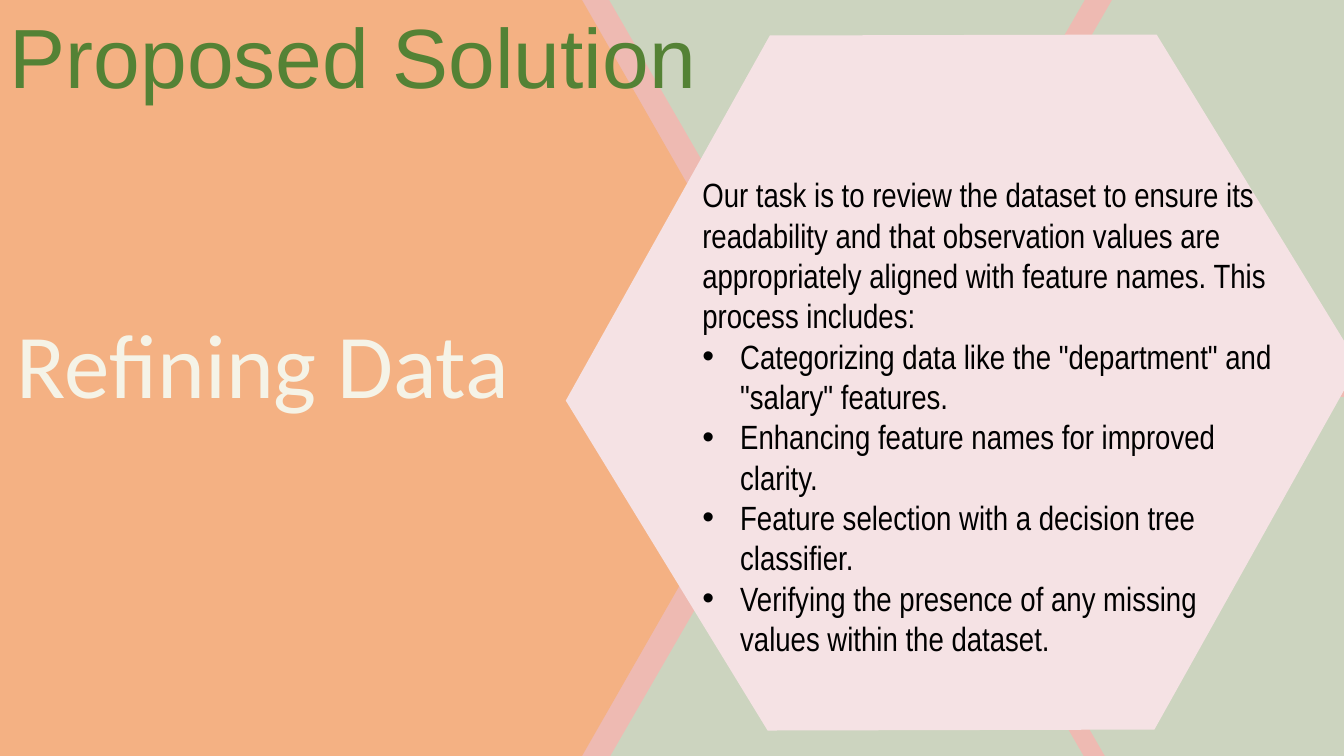
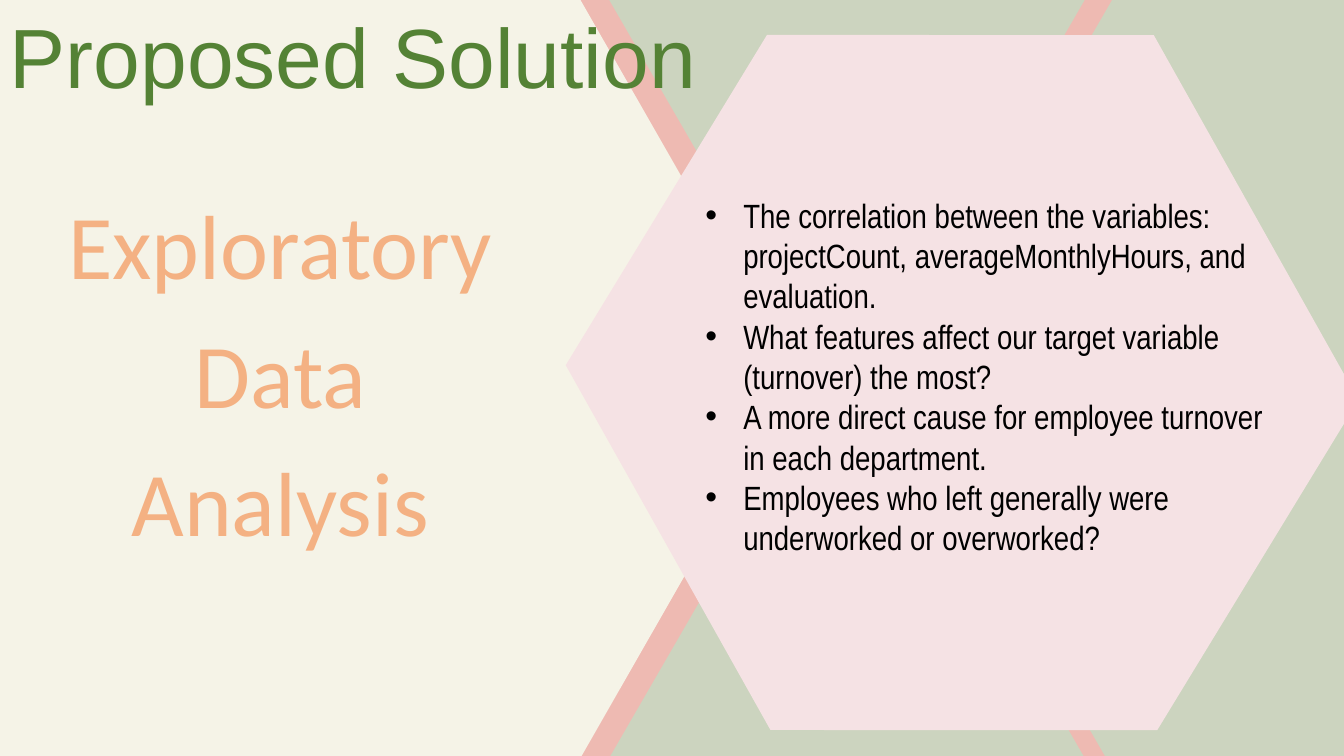
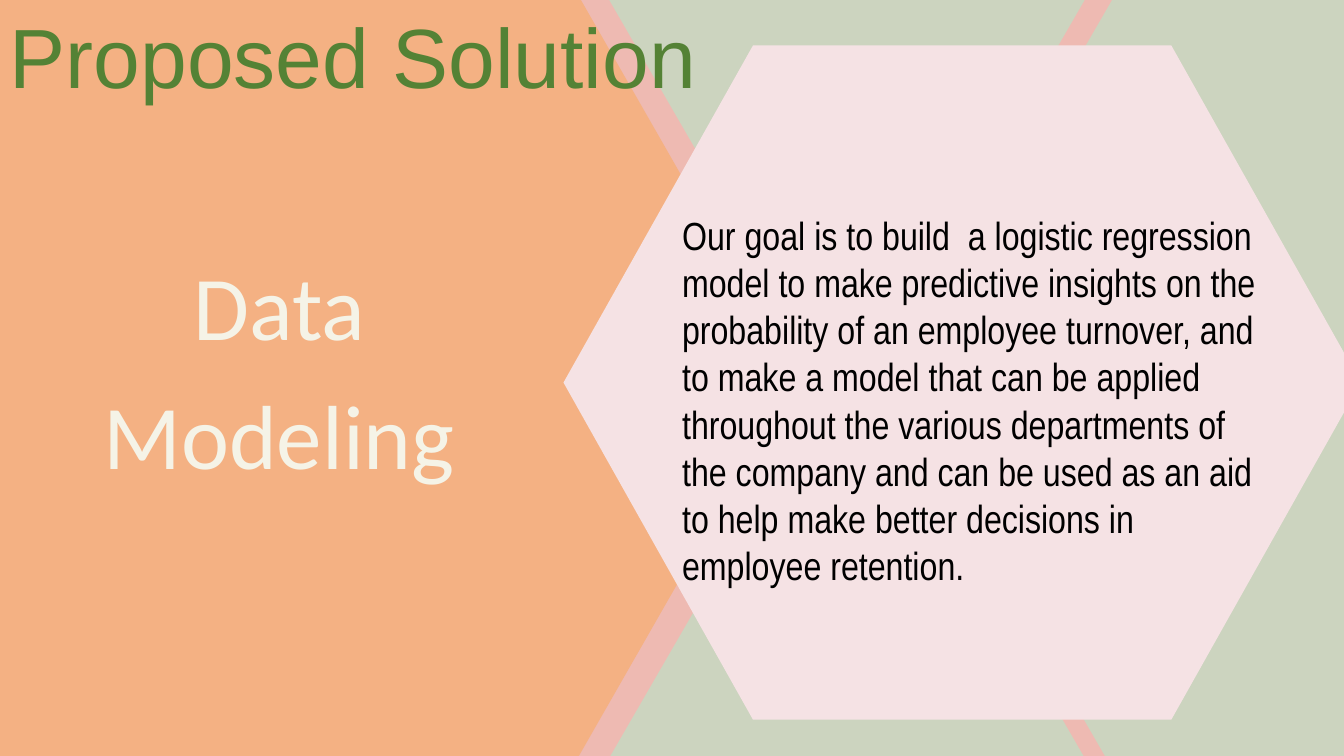
"""Build three 'Proposed Solution' slides on a shared hexagon backdrop."""
from dataclasses import dataclass
from typing import NamedTuple

from lxml import etree
from pptx import Presentation
from pptx.dml import color as dml
from pptx.enum import shapes, text
from pptx.oxml import ns
from pptx.util import Pt

COLORS = {
    "rose": "EEBAB2",
    "sage": "CCD4BF",
    "orange": "F4B183",
    "cream": "F5F3E7",
    "blush": "F5E2E4",
    "green": "548235",
    "black": "000000",
}
HANGING = 27


class Box(NamedTuple):
    left: float
    top: float
    width: float
    height: float


class Line(NamedTuple):
    text: str
    bulleted: bool = False


@dataclass(frozen=True)
class Topic:
    heading: tuple[Line, ...]
    heading_box: Box
    heading_color: str
    panel_left: float
    panel_top: float
    panel_color: str
    card_rotation: float
    body: tuple[Line, ...]
    body_box: Box
    body_size: float = 24
    body_grows: bool = False


TILES = tuple(
    Box(left, top, 340, 293)
    for left, top in ((724.3, -25.2), (725.8, 283.7), (435, -146.9), (435, 395.3))
)
CARD = Box(402.5, 32.4, 569.5, 481.7)
TITLE = Box(0, 0, 960, 80)

TOPICS = (
    Topic(
        heading=(Line("Refining Data"),),
        heading_box=Box(0, 216, 376, 108),
        heading_color="cream",
        panel_left=-168.5,
        panel_top=-49.7,
        panel_color="orange",
        card_rotation=299.2,
        body=(
            Line("Our task is to review the dataset to ensure its readability and that "
                 "observation values are appropriately aligned with feature names. "
                 "This process includes:"),
            Line('Categorizing data like the "department" and "salary" features.', True),
            Line("Enhancing feature names for improved clarity.", True),
            Line("Feature selection with a decision tree classifier.", True),
            Line("Verifying the presence of any missing values within the dataset.", True),
        ),
        body_box=Box(494.6, 121, 426.2, 298),
        body_grows=True,
    ),
    Topic(
        heading=(Line("Exploratory"), Line("Data"), Line("Analysis")),
        heading_box=Box(-46.8, 57, 494, 427),
        heading_color="orange",
        panel_left=-169.2,
        panel_top=-49,
        panel_color="cream",
        card_rotation=240.7,
        body=(
            Line("The correlation between the variables: projectCount, "
                 "averageMonthlyHours, and evaluation.", True),
            Line("What features affect our target variable (turnover) the most?", True),
            Line("A more direct cause for employee turnover in each department.", True),
            Line("Employees who left generally were underworked or overworked?", True),
        ),
        body_box=Box(496.8, 135.4, 428.4, 269.3),
    ),
    Topic(
        heading=(Line("Data"), Line("Modeling")),
        heading_box=Box(-47.5, 54.7, 494, 427),
        heading_color="cream",
        panel_left=-170,
        panel_top=-51,
        panel_color="orange",
        card_rotation=180,
        body=(
            Line("Our goal is to build  a logistic regression model to make predictive "
                 "insights on the probability of an employee turnover, and to make a model "
                 "that can be applied throughout the various departments of the company and "
                 "can be used as an aid to help make better decisions in employee retention."),
        ),
        body_box=Box(480.2, 147.6, 424.8, 244.8),
        body_size=28,
    ),
)


def rgb(name: str) -> dml.RGBColor:
    """Return the palette colour called name."""
    return dml.RGBColor.from_string(COLORS[name])


def add_hexagon(slide, box: Box, color: str, bevel: float, rotation: float = 0) -> None:
    """Draw a flat hexagon without outline."""
    hexagon = slide.shapes.add_shape(shapes.MSO_SHAPE.HEXAGON, *map(Pt, box))
    hexagon.adjustments[0] = bevel
    hexagon.rotation = rotation
    hexagon.shadow.inherit = False
    hexagon.fill.solid()
    hexagon.fill.fore_color.rgb = rgb(color)
    hexagon.line.fill.background()


def add_bullet(paragraph) -> None:
    """Give a paragraph a hanging round bullet."""
    properties = paragraph._p.get_or_add_pPr()
    properties.set("marL", str(Pt(HANGING)))
    properties.set("indent", str(-Pt(HANGING)))
    etree.SubElement(properties, ns.qn("a:buFont"), typeface="Arial")
    etree.SubElement(properties, ns.qn("a:buChar"), char="•")


def add_text(slide, box: Box, lines: tuple[Line, ...], *, size: float, font: str,
             color: str, centered: bool = False, stacked: bool = False,
             grows: bool = False) -> None:
    """Write lines in a wrapping text box; stacked lines are spread and centred vertically."""
    frame = slide.shapes.add_textbox(*map(Pt, box)).text_frame
    frame.word_wrap = True
    if grows:
        frame.auto_size = text.MSO_AUTO_SIZE.SHAPE_TO_FIT_TEXT
    if stacked:
        frame.vertical_anchor = text.MSO_ANCHOR.MIDDLE
        frame.margin_left = frame.margin_right = Pt(6.5)
        frame.margin_top = frame.margin_bottom = Pt(6.5)
    for index, line in enumerate(lines):
        paragraph = frame.add_paragraph() if index else frame.paragraphs[0]
        if line.bulleted:
            add_bullet(paragraph)
        if centered:
            paragraph.alignment = text.PP_ALIGN.CENTER
        if stacked:
            paragraph.line_spacing = 0.9
            paragraph.space_after = Pt(21.5)
        run = paragraph.add_run()
        run.text = line.text
        run.font.size = Pt(size)
        run.font.name = font
        run.font.color.rgb = rgb(color)


def add_topic(deck, topic: Topic) -> None:
    """Add one slide with backdrop, title, heading and text card."""
    slide = deck.slides.add_slide(deck.slide_layouts[6])
    slide.background.fill.solid()
    slide.background.fill.fore_color.rgb = rgb("rose")
    for tile in TILES:
        add_hexagon(slide, tile, "sage", 0.289)
    panel = Box(topic.panel_left, topic.panel_top, 738.7, 639.4)
    add_hexagon(slide, panel, topic.panel_color, 0.286)
    stacked = len(topic.heading) > 1
    add_text(slide, topic.heading_box, topic.heading, size=65, font="Calibri",
             color=topic.heading_color, centered=True, stacked=stacked, grows=not stacked)
    add_text(slide, TITLE, (Line("Proposed Solution"),), size=60, font="Arial",
             color="green", grows=True)
    add_hexagon(slide, CARD, "blush", 0.281, topic.card_rotation)
    add_text(slide, topic.body_box, topic.body, size=topic.body_size, font="Arial Narrow",
             color="black", grows=topic.body_grows)


def main() -> None:
    """Build and save the presentation."""
    deck = Presentation()
    deck.slide_width, deck.slide_height = Pt(960), Pt(540)
    for topic in TOPICS:
        add_topic(deck, topic)
    deck.save("out.pptx")


if __name__ == "__main__":
    main()
